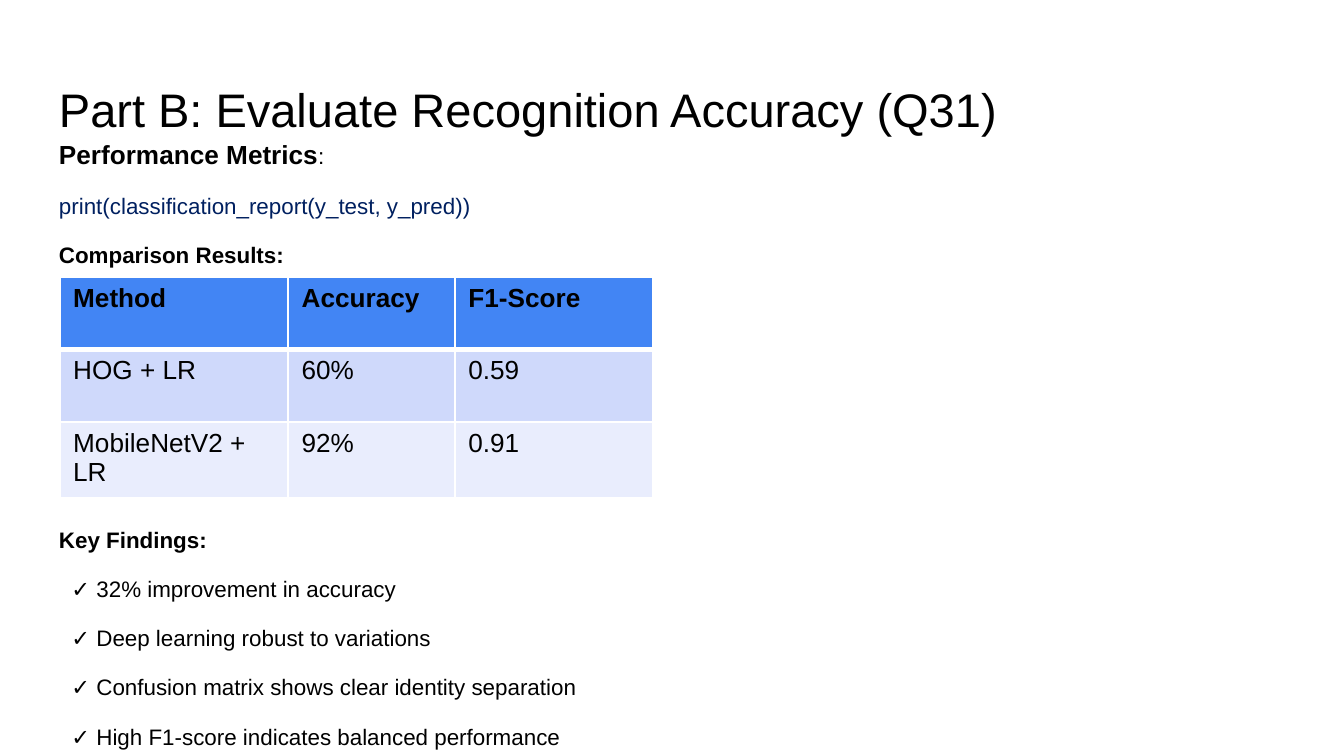
"""Builds a slide comparing recognition accuracy of two methods."""
import pptx
import pptx.dml.color
import pptx.enum.text
import pptx.oxml
import pptx.oxml.ns
import pptx.util

Pt = pptx.util.Pt
ANCHOR = pptx.enum.text.MSO_ANCHOR


def rgb(code):
    return pptx.dml.color.RGBColor.from_string(code)


class Deck:
    font = "Arial"
    black, white, navy = "000000", "FFFFFF", "002060"
    header, bands = "4285F4", ("CFD9FB", "E9EDFD")
    left, width = 24.5, 671

    def __init__(self, width, height):
        self.prs = pptx.Presentation()
        self.prs.slide_width, self.prs.slide_height = Pt(width), Pt(height)
        self.s = self.prs.slides.add_slide(self.prs.slide_layouts[6])

    def style(self, p, size, color=black, bold=False):
        p.font.name, p.font.size, p.font.bold = self.font, Pt(size), bold
        p.font.color.rgb = rgb(color)

    def box(self, top, height, anchor=ANCHOR.TOP):
        sp = self.s.shapes.add_textbox(Pt(self.left), Pt(top), Pt(self.width), Pt(height))
        tf = sp.text_frame
        tf.word_wrap, tf.vertical_anchor = True, anchor
        tf.margin_left = tf.margin_right = tf.margin_top = tf.margin_bottom = Pt(7.2)
        return tf

    def line(self, tf, text, size=12, color=black, bold=False, indent=0):
        first = not tf.text
        p = tf.paragraphs[0] if first else tf.add_paragraph()
        p.space_before = Pt(0 if first else 12)
        p.add_run().text = text
        self.style(p, size, color, bold)
        if indent:
            pPr = p._p.get_or_add_pPr()
            pPr.set("marL", str(Pt(indent)))
            pPr.set("indent", "0")
        return p

    def borders(self, cell, top, bottom):
        tcPr = cell._tc.get_or_add_tcPr()
        for side, weight in (("L", 1), ("R", 1), ("T", top), ("B", bottom)):
            tcPr.append(pptx.oxml.parse_xml(
                f'<a:ln{side} {pptx.oxml.ns.nsdecls("a")} w="{Pt(weight)}"><a:solidFill>'
                f'<a:srgbClr val="{self.white}"/></a:solidFill></a:ln{side}>'))

    def table(self, left, top, widths, row_height, rows):
        table = self.s.shapes.add_table(
            len(rows), len(widths), Pt(left), Pt(top),
            Pt(sum(widths)), Pt(row_height * len(rows))).table
        for column, width in zip(table.columns, widths):
            column.width = Pt(width)
        for i, row in enumerate(rows):
            table.rows[i].height = Pt(row_height)
            for j, text in enumerate(row):
                cell = table.cell(i, j)
                self.borders(cell, 3 if i == 1 else 1, 3 if i == 0 else 1)
                cell.fill.solid()
                cell.fill.fore_color.rgb = rgb(self.bands[(i - 1) % 2] if i else self.header)
                cell.text = text
                self.style(cell.text_frame.paragraphs[0], 14, bold=i == 0)


def main():
    deck = Deck(720, 405)

    title = deck.box(35.3, 45.4, ANCHOR.BOTTOM)
    deck.line(title, "Part B: Evaluate Recognition Accuracy (Q31)", 25.2)

    metrics = deck.box(67, 80)
    p = deck.line(metrics, "Performance Metrics", 14)
    p.runs[0].font.bold = True
    r = p.add_run()
    r.text = ":"
    r.font.size = Pt(12)
    deck.line(metrics, "print(classification_report(y_test, y_pred))", color=deck.navy)
    deck.line(metrics, "Comparison Results:", bold=True)

    deck.table(32, 148.3, (122.4, 89.3, 105.8), 38.9, (
        ("Method", "Accuracy", "F1-Score"),
        ("HOG + LR", "60%", "0.59"),
        ("MobileNetV2 + LR", "92%", "0.91")))

    findings = deck.box(274.4, 130.6)
    deck.line(findings, "Key Findings:", bold=True)
    for text in ("32% improvement in accuracy",
                 "Deep learning robust to variations",
                 "Confusion matrix shows clear identity separation",
                 "High F1-score indicates balanced performance"):
        deck.line(findings, f"✓ {text}", indent=6.67)

    deck.prs.save("out.pptx")


if __name__ == "__main__":
    main()
